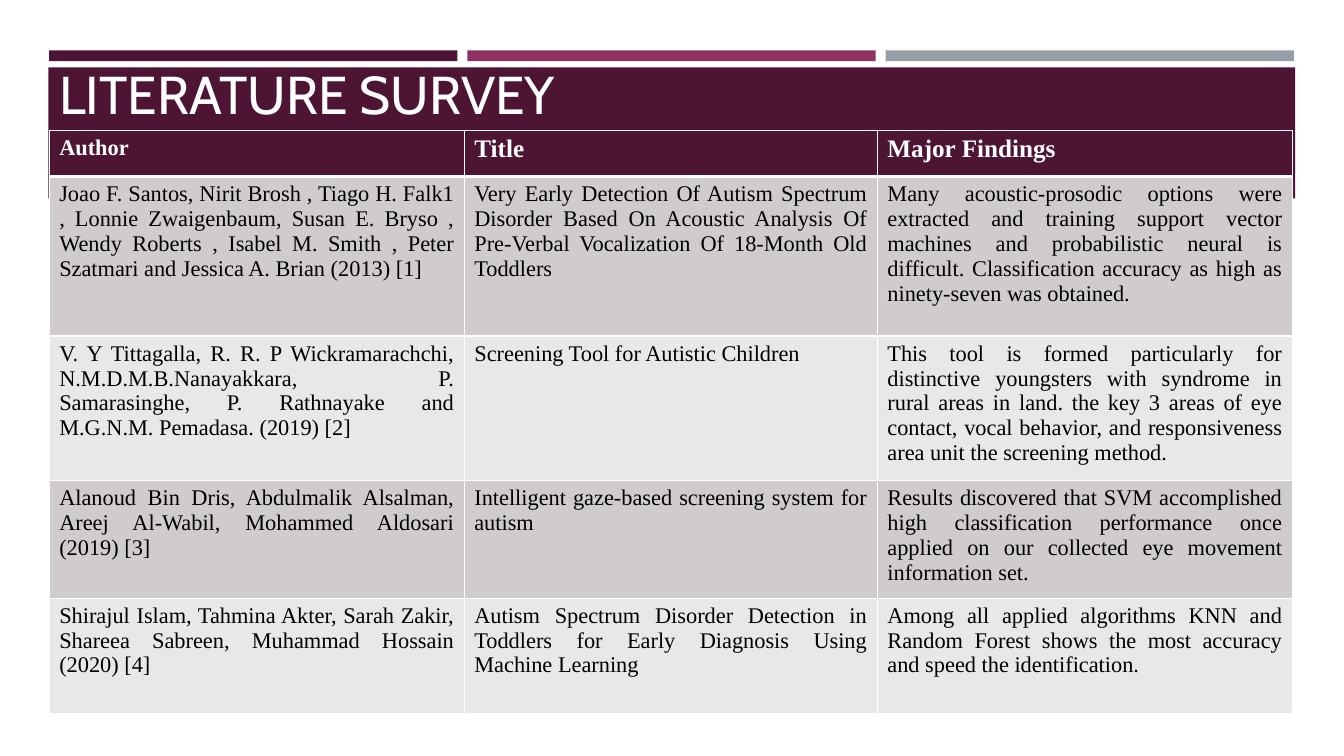
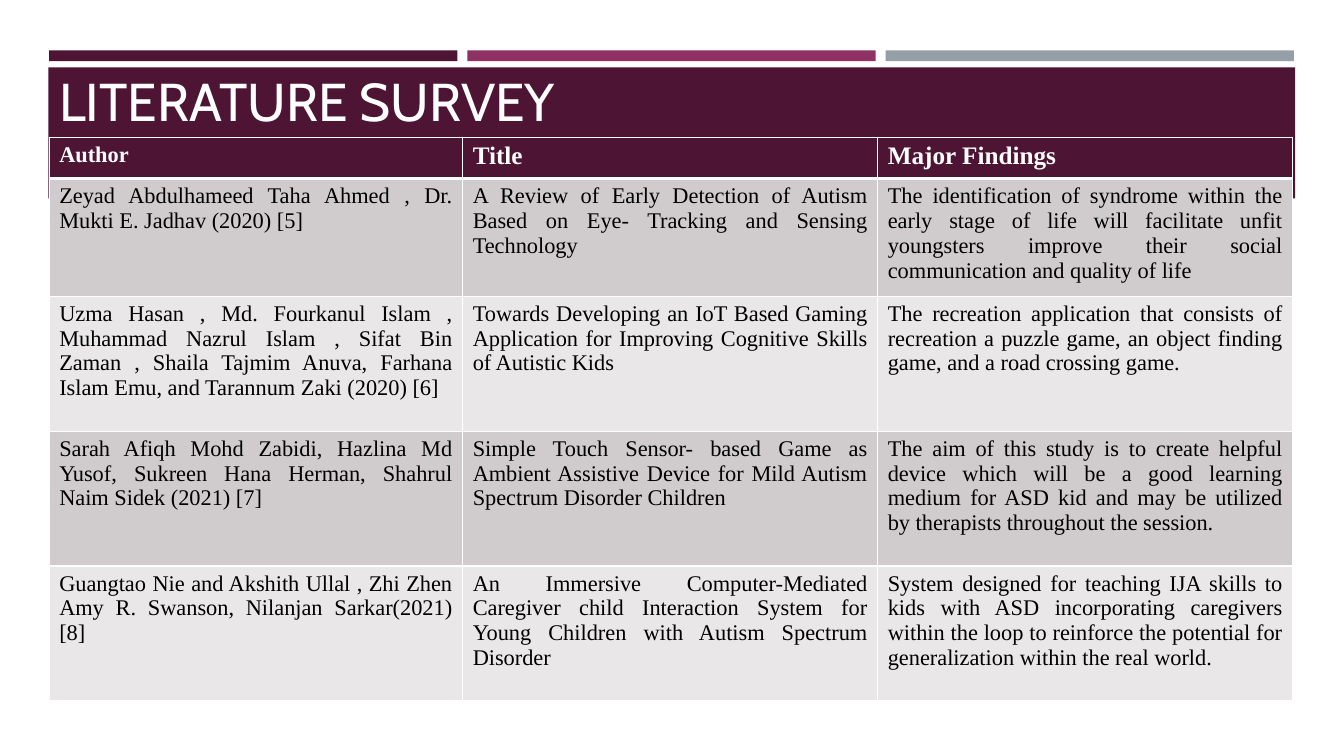
from lxml import etree
from pptx import Presentation
from pptx import util as u
from pptx.dml.color import RGBColor
from pptx.enum import shapes, text
from pptx.oxml import ns

PLUM, ROSE, STEEL = "4D1434", "903163", "969FA7"
DARK, PALE, WHITE, BLACK = "D0CCCE", "E9E7E8", "FFFFFF", "000000"
SERIF, SANS = "Times New Roman", "Cabin"
LEFT = 1.24
HEADS = ["Author", "Title", "Major Findings"]

FIRST = [
    ["Joao F. Santos, Nirit Brosh , Tiago H. Falk1 , Lonnie Zwaigenbaum, "
     "Susan E. Bryso , Wendy Roberts , Isabel M. Smith , Peter Szatmari and "
     "Jessica A. Brian (2013) [1]",
     "Very Early Detection Of Autism Spectrum Disorder Based On Acoustic "
     "Analysis Of Pre-Verbal Vocalization Of 18-Month Old Toddlers",
     "Many acoustic-prosodic options were extracted and training support "
     "vector machines and probabilistic neural is difficult. Classification "
     "accuracy as high as ninety-seven was obtained."],
    ["V. Y Tittagalla, R. R. P Wickramarachchi, N.M.D.M.B.Nanayakkara, "
     "P. Samarasinghe, P. Rathnayake and M.G.N.M. Pemadasa. (2019) [2]",
     "Screening Tool for Autistic Children",
     "This tool is formed particularly for distinctive youngsters with "
     "syndrome in rural areas in land. the key 3 areas of eye contact, vocal "
     "behavior, and responsiveness area unit the screening method."],
    ["Alanoud Bin Dris, Abdulmalik Alsalman, Areej Al-Wabil, "
     "Mohammed Aldosari (2019) [3]",
     "Intelligent gaze-based screening system for autism",
     "Results discovered that SVM accomplished high classification "
     "performance once applied on our collected eye movement information "
     "set."],
    ["Shirajul Islam, Tahmina Akter, Sarah Zakir, Shareea Sabreen, "
     "Muhammad Hossain (2020) [4]",
     "Autism Spectrum Disorder Detection in Toddlers for Early Diagnosis "
     "Using Machine Learning",
     "Among all applied algorithms KNN and Random Forest shows the most "
     "accuracy and speed the identification."],
]

SECOND = [
    ["Zeyad Abdulhameed Taha Ahmed , Dr. Mukti E. Jadhav (2020) [5]",
     "A Review of Early Detection of Autism Based on Eye- Tracking and "
     "Sensing Technology",
     "The identification of syndrome within the early stage of life will "
     "facilitate unfit youngsters improve their social communication and "
     "quality of life"],
    ["Uzma Hasan , Md. Fourkanul Islam , Muhammad Nazrul Islam , Sifat Bin "
     "Zaman , Shaila Tajmim Anuva, Farhana Islam Emu, and Tarannum Zaki "
     "(2020) [6]",
     "Towards Developing an IoT Based Gaming Application for Improving "
     "Cognitive Skills of Autistic Kids",
     "The recreation application that consists of recreation a puzzle game, "
     "an object finding game, and a road crossing game."],
    ["Sarah Afiqh Mohd Zabidi, Hazlina Md Yusof, Sukreen Hana Herman, "
     "Shahrul Naim Sidek (2021) [7]",
     "Simple Touch Sensor- based Game as Ambient Assistive Device for Mild "
     "Autism Spectrum Disorder Children",
     "The aim of this study is to create helpful device which will be a good "
     "learning medium for ASD kid and may be utilized by therapists "
     "throughout the session."],
    ["Guangtao Nie and Akshith Ullal , Zhi Zhen Amy R. Swanson, "
     "Nilanjan Sarkar(2021) [8]",
     "An Immersive Computer-Mediated Caregiver child Interaction System for "
     "Young Children with Autism Spectrum Disorder",
     "System designed for teaching IJA skills to kids with ASD incorporating "
     "caregivers within the loop to reinforce the potential for "
     "generalization within the real world."],
]


def paint(fill, color):
    fill.solid()
    fill.fore_color.rgb = RGBColor.from_string(color)


def write(frame, words, size=16, font=SERIF, color=BLACK, bold=False,
          align=text.PP_ALIGN.LEFT):
    para = frame.paragraphs[0]
    para.alignment = align
    run = para.add_run()
    run.text = words
    run.font.size = u.Pt(size)
    run.font.name = font
    run.font.bold = bold
    run.font.color.rgb = RGBColor.from_string(color)


def block(slide, left, top, width, height, color):
    shape = slide.shapes.add_shape(
        shapes.MSO_SHAPE.RECTANGLE,
        u.Cm(left), u.Cm(top), u.Cm(width), u.Cm(height))
    shape.shadow.inherit = False
    paint(shape.fill, color)
    shape.line.fill.background()


def title(slide, words, base):
    """Set the title in a box whose lower edge is at base."""
    high = 2.82
    box = slide.shapes.add_textbox(
        u.Cm(LEFT), u.Cm(base - high), u.Cm(30.63), u.Cm(high))
    frame = box.text_frame
    frame.word_wrap = True
    frame.vertical_anchor = text.MSO_ANCHOR.BOTTOM
    write(frame, words, size=38, font=SANS, color=WHITE)


def border(cell, **widths):
    """Draw white cell edges; widths in points, keyed L, R, T and B."""
    props = cell._tc.get_or_add_tcPr()
    for side in "LRTB":
        line = etree.SubElement(props, ns.qn("a:ln" + side),
                                w=str(u.Pt(widths.get(side, 1))))
        fill = etree.SubElement(line, ns.qn("a:solidFill"))
        etree.SubElement(fill, ns.qn("a:srgbClr"), val=WHITE)


def table(slide, top, cols, rows, body):
    data = [HEADS] + body
    grid = slide.shapes.add_table(
        len(rows), len(cols), u.Cm(LEFT), u.Cm(top),
        u.Cm(sum(cols)), u.Cm(sum(rows))).table
    for col, width in zip(grid.columns, cols):
        col.width = u.Cm(width)
    for r, height in enumerate(rows):
        grid.rows[r].height = u.Cm(height)
        for c, words in enumerate(data[r]):
            cell = grid.cell(r, c)
            look = {"align": text.PP_ALIGN.JUSTIFY}
            if r == 0:
                border(cell, B=3)
                paint(cell.fill, PLUM)
                look.update(size=18 if c else 16, color=WHITE, bold=True)
            else:
                border(cell, T=3 if r == 1 else 1)
                paint(cell.fill, DARK if r % 2 else PALE)
            write(cell.text_frame, words, **look)


def survey(deck, top, cols, rows, body):
    """Add one slide: bands, title panel and a table starting at top."""
    slide = deck.slides.add_slide(deck.slide_layouts[6])
    for i, color in enumerate([PLUM, ROSE, STEEL]):
        block(slide, LEFT + i * 10.54, 1.27, 10.29, 0.27, color)
    block(slide, 1.22, 1.7, 31.42, 3.3, PLUM)
    title(slide, "LITERATURE SURVEY", top)
    table(slide, top, cols, rows, body)


def main():
    deck = Presentation()
    deck.slide_width, deck.slide_height = u.Cm(33.87), u.Cm(19.05)
    survey(deck, 3.28, [10.46, 10.41, 10.46],
           [1.17, 4.02, 3.41, 2.75, 2.9], FIRST)
    survey(deck, 3.46, [10.42, 10.46, 10.46],
           [1.04, 2.77, 3.4, 3.4, 3.4], SECOND)
    deck.save("out.pptx")


if __name__ == "__main__":
    main()
